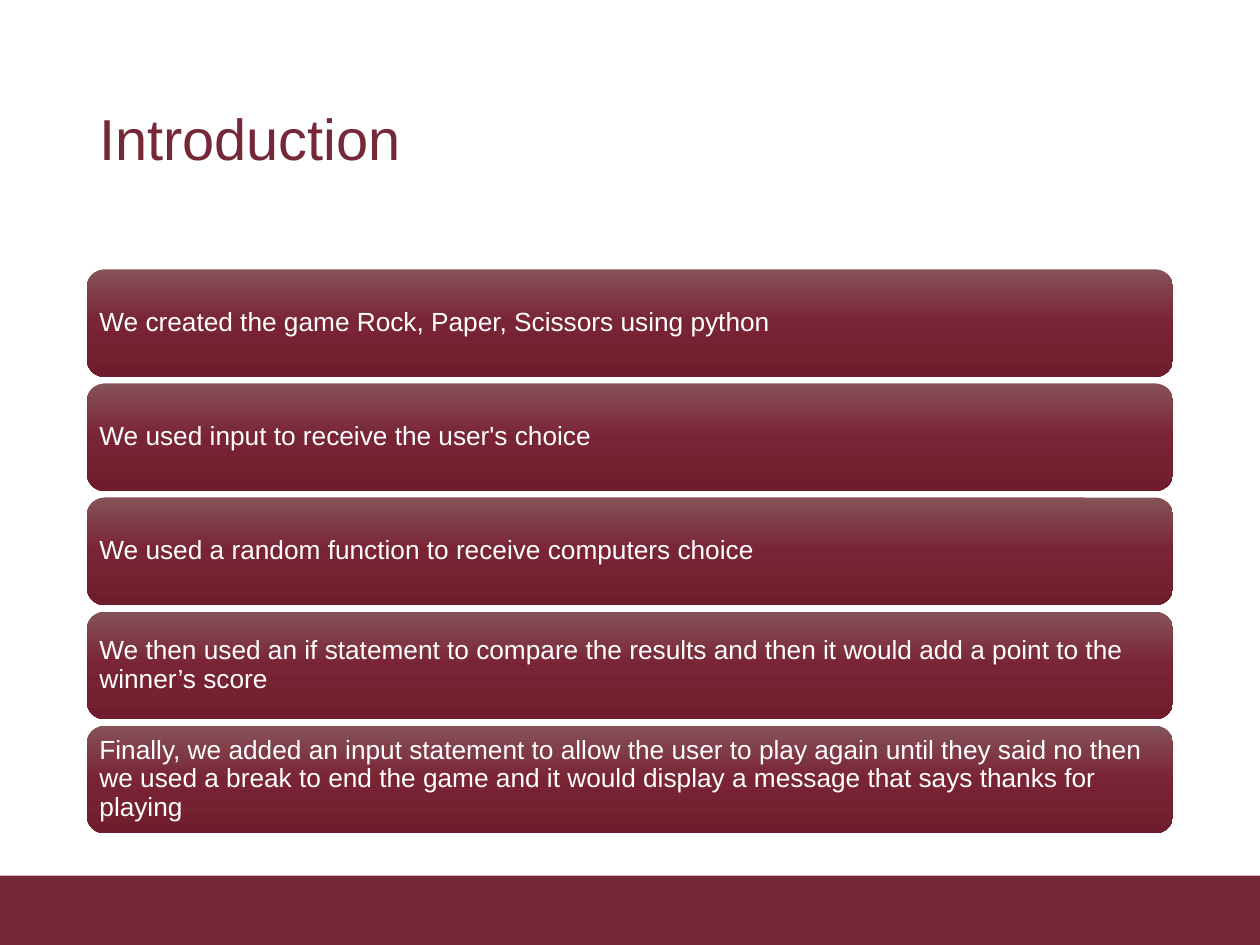
from copy import deepcopy

from pptx import Presentation
from pptx.dml.color import RGBColor
from pptx.enum.shapes import MSO_SHAPE as Shape
from pptx.enum.text import MSO_ANCHOR as Anchor, PP_ALIGN as Align
from pptx.oxml.ns import qn
from pptx.util import Cm, Pt

WINE = RGBColor(0x75, 0x28, 0x36)
WHITE = RGBColor(0xFF, 0xFF, 0xFF)
SHADES = [
    (0, RGBColor(0x86, 0x52, 0x58)),
    (0.5, RGBColor(0x79, 0x24, 0x34)),
    (1, RGBColor(0x6F, 0x1D, 0x2C)),
]

STEPS = [
    "We created the game Rock, Paper, Scissors using python",
    "We used input to receive the user's choice",
    "We used a random function to receive computers choice",
    "We then used an if statement to compare the results and then it would "
    "add a point to the winner’s score",
    "Finally, we added an input statement to allow the user to play again "
    "until they said no then we used a break to end the game and it would "
    "display a message that says thanks for playing",
]

LEFT, WIDTH = Cm(1.75), Cm(21.9)
TOP, PITCH, HIGH = Cm(5.43), Cm(2.3), Cm(2.17)
PAD = Cm(0.15)


def write(shape, text, size, color, frame_format):
    frame = shape.text_frame
    for name, value in frame_format.items():
        setattr(frame, name, value)
    para = frame.paragraphs[0]
    para.alignment = Align.LEFT
    para.line_spacing = 0.9
    run = para.add_run()
    run.text = text
    run.font.name = "Arial"
    run.font.size = Pt(size)
    run.font.color.rgb = color


def shade(shape):
    """Fill with the three-stop gradient, running from top to bottom."""
    fill = shape.fill
    fill.gradient()
    fill.gradient_angle = 270
    stops = shape.element.spPr.find(".//" + qn("a:gsLst"))
    stops.append(deepcopy(stops[-1]))
    for stop, (place, color) in zip(fill.gradient_stops, SHADES):
        stop.position = place
        stop.color.rgb = color


deck = Presentation()
deck.slide_width, deck.slide_height = Cm(25.4), Cm(19.05)
slide = deck.slides.add_slide(deck.slide_layouts[6])
shapes = slide.shapes

# Footer band
band = shapes.add_shape(Shape.RECTANGLE, 0, Cm(17.65), deck.slide_width, Cm(1.4))
band.shadow.inherit = False
band.fill.solid()
band.fill.fore_color.rgb = WINE
band.line.fill.background()

# Title
plain = {"word_wrap": True, "vertical_anchor": Anchor.MIDDLE}
title = shapes.add_textbox(LEFT, Cm(1.02), WIDTH, Cm(3.68))
write(title, "Introduction", 33, WINE, plain)

# Step cards
padded = plain | {
    "margin_left": PAD,
    "margin_right": PAD,
    "margin_top": PAD,
    "margin_bottom": PAD,
}
for i, step in enumerate(STEPS):
    card = shapes.add_shape(
        Shape.ROUNDED_RECTANGLE, LEFT, TOP + i * PITCH, WIDTH, HIGH
    )
    card.shadow.inherit = False
    card.line.fill.background()
    shade(card)
    write(card, step, 15, WHITE, padded)

deck.save("out.pptx")
